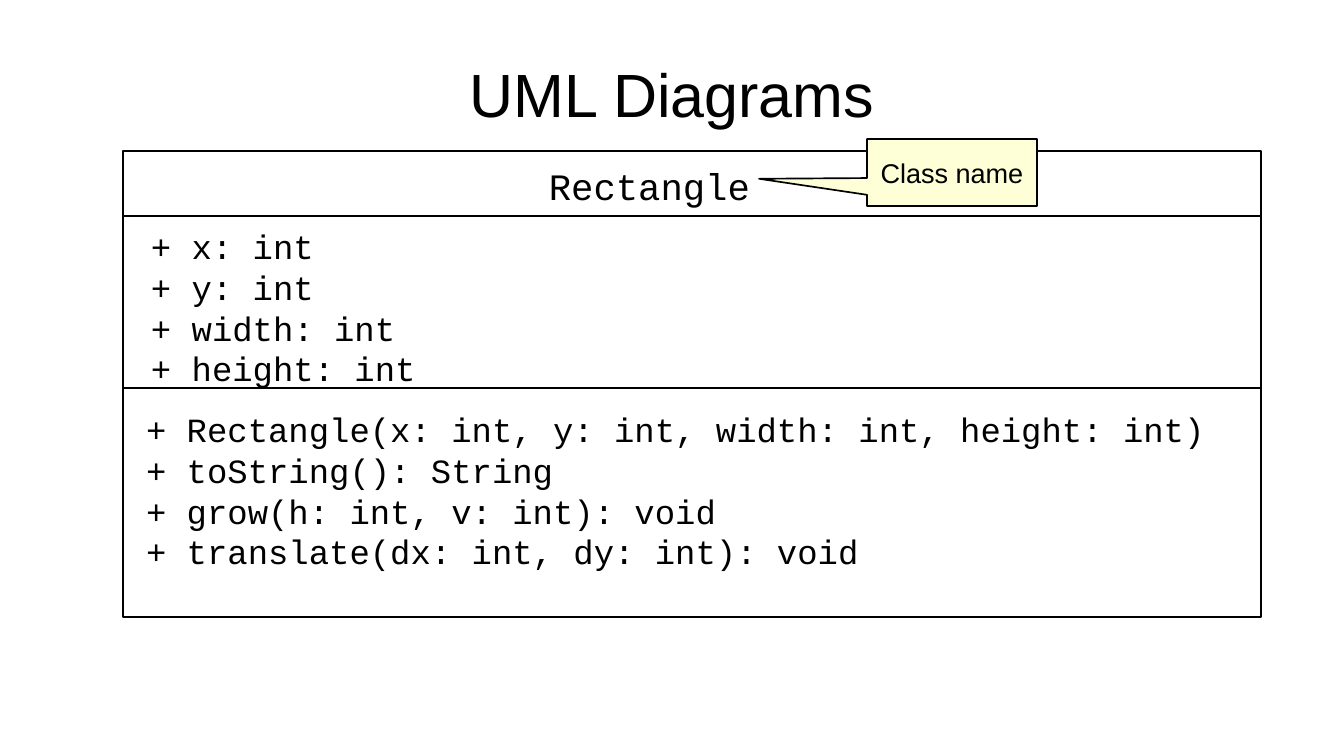
import pptx
import pptx.dml.color
import pptx.enum.shapes
import pptx.enum.text
import pptx.oxml.ns
import pptx.util
from lxml import etree

TITLE = "UML Diagrams"
CLASS_NAME = "Rectangle"
ATTRIBUTES = ["+ x: int", "+ y: int", "+ width: int", "+ height: int"]
METHODS = [
    "+ Rectangle(x: int, y: int, width: int, height: int)",
    "+ toString(): String",
    "+ grow(h: int, v: int): void",
    "+ translate(dx: int, dy: int): void",
]
CALLOUT = "Class name"

COLORS = {"ink": "000000", "paper": "FFFFFF", "note": "FFFFD7"}
BODY_FONT, CODE_FONT = "Arial", "Courier New"
CODE_LINE_HEIGHT = 1.2

SLIDE_SIZE = (1344, 756)
TITLE_BOX = (67, 30, 1210, 127)
CLASS_BOX = (123, 151, 1138, 466)
DIVIDERS = (216, 388)
CALLOUT_BOX = (867, 139, 170, 67)
CALLOUT_TIP = (-1.135, 0.094)
# lines, box, text size
COMPARTMENTS = [
    ([CLASS_NAME], (537, 157, 232, 54), 22),
    (ATTRIBUTES, (139, 220, 756, 166), 20),
    (METHODS, (134, 403, 1094, 204), 20),
]

SHAPES = pptx.enum.shapes.MSO_SHAPE
ALIGN = pptx.enum.text.PP_ALIGN
ANCHOR = pptx.enum.text.MSO_ANCHOR


def px(length):
    return pptx.util.Emu(round(length * 914400 / 122))


def rgb(name):
    return pptx.dml.color.RGBColor.from_string(COLORS[name])


def write_text(shape, lines, size, font=BODY_FONT, align=ALIGN.LEFT,
               anchor=ANCHOR.TOP, inset=(12, 6), wrap=True, line_height=None):
    frame = shape.text_frame
    frame.auto_size = pptx.enum.text.MSO_AUTO_SIZE.NONE
    frame.word_wrap = wrap
    frame.vertical_anchor = anchor
    frame.margin_left = frame.margin_right = px(inset[0])
    frame.margin_top = frame.margin_bottom = px(inset[1])
    frame.text = "\n".join(lines)
    for paragraph in frame.paragraphs:
        paragraph.alignment = align
        if line_height:
            paragraph.line_spacing = pptx.util.Pt(size * line_height)
        text_font = paragraph.runs[0].font
        text_font.name = font
        text_font.size = pptx.util.Pt(size)
        text_font.color.rgb = rgb("ink")


def add_box(slide, box, kind=SHAPES.RECTANGLE, fill="paper", line_width=None):
    shape = slide.shapes.add_shape(kind, *map(px, box))
    shape.shadow.inherit = False
    shape.fill.solid()
    shape.fill.fore_color.rgb = rgb(fill)
    if line_width:
        shape.line.color.rgb = rgb("ink")
        shape.line.width = pptx.util.Pt(line_width)
    else:
        shape.line.fill.background()
    return shape


def add_divider(slide, top):
    left, _, width, _ = CLASS_BOX
    line = slide.shapes.add_connector(
        pptx.enum.shapes.MSO_CONNECTOR.STRAIGHT,
        px(left), px(top), px(left + width), px(top))
    line.line.color.rgb = rgb("ink")
    line.line.width = pptx.util.Pt(1.5)
    etree.SubElement(line._element.spPr, pptx.oxml.ns.qn("a:effectLst"))


def main():
    presentation = pptx.Presentation()
    presentation.slide_width, presentation.slide_height = map(px, SLIDE_SIZE)
    slide = presentation.slides.add_slide(presentation.slide_layouts[5])

    title = slide.shapes.title
    title.left, title.top, title.width, title.height = map(px, TITLE_BOX)
    write_text(title, [TITLE], 36, align=ALIGN.CENTER, anchor=ANCHOR.MIDDLE,
               inset=(0, 0))

    add_box(slide, CLASS_BOX, line_width=1.5)
    for lines, box, size in COMPARTMENTS:
        write_text(add_box(slide, box), lines, size, font=CODE_FONT,
                   line_height=CODE_LINE_HEIGHT)
    for top in DIVIDERS:
        add_divider(slide, top)

    callout = add_box(slide, CALLOUT_BOX, SHAPES.RECTANGULAR_CALLOUT, "note", 1)
    for index, offset in enumerate(CALLOUT_TIP):
        callout.adjustments[index] = offset
    write_text(callout, [CALLOUT], 16, align=ALIGN.CENTER,
               anchor=ANCHOR.MIDDLE, inset=(13, 7), wrap=False)

    presentation.save("out.pptx")


if __name__ == "__main__":
    main()
